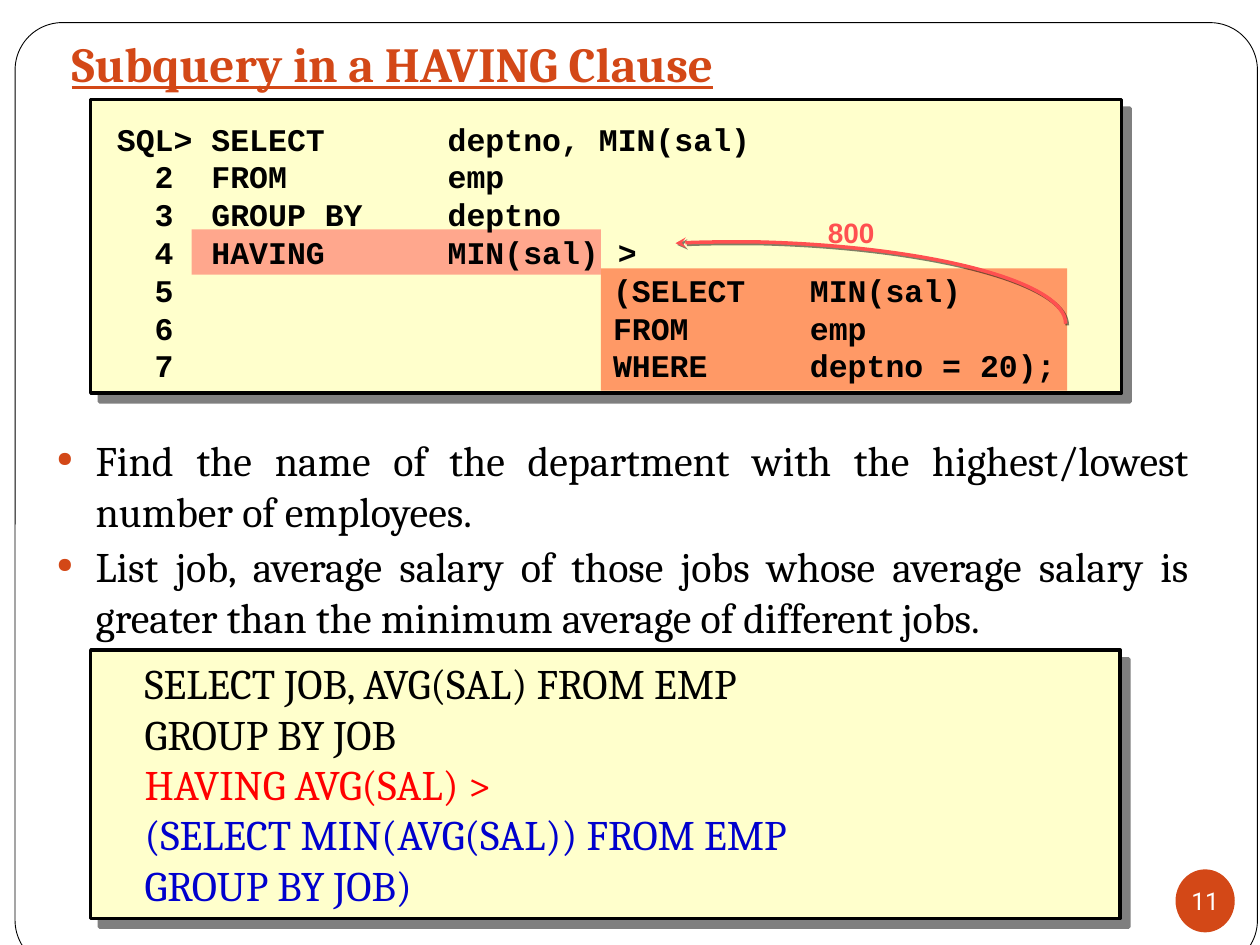
from dataclasses import dataclass
from typing import NamedTuple

from lxml.etree import SubElement
from pptx import Presentation
from pptx.dml.color import RGBColor as RGB
from pptx.enum.shapes import MSO_SHAPE as Preset
from pptx.enum.text import MSO_ANCHOR as Anchor, PP_ALIGN as Align
from pptx.oxml.ns import qn
from pptx.util import Pt


@dataclass(frozen=True)
class Theme:
    accent: str = "D34817"
    paper: str = "FFFFFF"
    ink: str = "000000"
    panel: str = "FFFFCC"
    coral: str = "FF5050"
    orange: str = "FF9966"
    red: str = "FF0000"
    blue: str = "0000CC"
    serif: str = "Cambria"
    mono: str = "Courier New"
    sans: str = "Arial"
    number_font: str = "Roboto"
    title_size: float = 28
    body_size: float = 24
    code_size: float = 18
    label_size: float = 16
    number_size: float = 14


class Box(NamedTuple):
    left: float
    top: float
    width: float
    height: float

    def points(self) -> list:
        return [Pt(length) for length in self]


@dataclass(frozen=True)
class Block:
    box: Box
    fill: str
    preset: int = Preset.RECTANGLE
    border: float = 0
    shadow: float = 0
    alpha: int = 100


@dataclass(frozen=True)
class Style:
    font: str
    size: float
    color: str
    bold: bool = False
    underline: bool = False


class Line(NamedTuple):
    text: str
    style: Style


THEME = Theme()
TITLE = Style(THEME.serif, THEME.title_size, THEME.accent, True, True)
BODY = Style(THEME.serif, THEME.body_size, THEME.ink)
OUTER = Style(THEME.serif, THEME.body_size, THEME.red)
INNER = Style(THEME.serif, THEME.body_size, THEME.blue)
CODE = Style(THEME.mono, THEME.code_size, THEME.ink, True)
LABEL = Style(THEME.sans, THEME.label_size, THEME.coral, True)
NUMBER = Style(THEME.number_font, THEME.number_size, THEME.paper)

FRAME = Block(Box(8.64, 12.96, 709.92, 540), THEME.paper, Preset.ROUNDED_RECTANGLE, 0.5)
PANELS = [
    Block(Box(51.84, 56.88, 588.96, 167.76), THEME.panel, border=2, shadow=7.1),
    Block(Box(51.84, 371.52, 588.24, 153.36), THEME.panel, border=2, shadow=7.1),
]
HIGHLIGHTS = [
    Block(Box(109.44, 131.04, 234, 25.92), THEME.coral, alpha=50),
    Block(Box(343.44, 153.36, 266.4, 69.84), THEME.orange),
]
BADGE = Block(Box(671.76, 496.8, 33.84, 36), THEME.accent, Preset.OVAL)

ARROW = [(386, 139), (400.3, 138.2), (415.4, 138.2), (430.6, 138.2),
         (529.2, 140.4), (609.1, 160.6), (609, 185)]
CODE_TABS = [189, 283.5, 396]
CODE_LINES = [
    "SQL> SELECT\tdeptno, MIN(sal)",
    "  2  FROM\temp",
    "  3  GROUP BY\tdeptno",
    "  4  HAVING\tMIN(sal) >",
    "  5\t\t(SELECT\tMIN(sal)",
    "  6\t\tFROM\temp",
    "  7\t\tWHERE\tdeptno = 20);",
]
TASKS = [
    "Find the name of the department with the highest/lowest number of employees.",
    "List job, average salary of those jobs whose average salary is "
    "greater than the minimum average of different jobs.",
]
ANSWER = [
    Line("SELECT JOB, AVG(SAL) FROM EMP", BODY),
    Line("GROUP BY JOB", BODY),
    Line("HAVING AVG(SAL) >", OUTER),
    Line("(SELECT MIN(AVG(SAL)) FROM EMP", INNER),
    Line("GROUP BY JOB)", INNER),
]


def add_shadow(shape, distance: float) -> None:
    effects = SubElement(shape._element.spPr, qn("a:effectLst"))
    outer = SubElement(effects, qn("a:outerShdw"), dist=str(Pt(distance)),
                       dir="2700000", algn="ctr", rotWithShape="0")
    color = SubElement(outer, qn("a:srgbClr"), val=THEME.ink)
    SubElement(color, qn("a:alpha"), val="50000")


def add_block(slide, block: Block):
    shape = slide.shapes.add_shape(block.preset, *block.box.points())
    shape.fill.solid()
    shape.fill.fore_color.rgb = RGB.from_string(block.fill)
    if block.alpha < 100:
        color = shape._element.spPr.find(qn("a:solidFill"))[0]
        SubElement(color, qn("a:alpha"), val=str(block.alpha * 1000))
    if block.border:
        shape.line.color.rgb = RGB.from_string(THEME.ink)
        shape.line.width = Pt(block.border)
    else:
        shape.line.fill.background()
    if block.shadow:
        add_shadow(shape, block.shadow)
    else:
        shape.shadow.inherit = False
    return shape


def write(paragraph, line: Line) -> None:
    paragraph.text = line.text
    for run in paragraph.runs:
        font = run.font
        font.name, font.size = line.style.font, Pt(line.style.size)
        font.bold, font.underline = line.style.bold, line.style.underline
        font.color.rgb = RGB.from_string(line.style.color)


def add_text(slide, box: Box, lines: list[Line], anchor=Anchor.MIDDLE, wrap: bool = True) -> list:
    frame = slide.shapes.add_textbox(*box.points()).text_frame
    frame.word_wrap, frame.vertical_anchor = wrap, anchor
    for _ in lines[1:]:
        frame.add_paragraph()
    for paragraph, line in zip(frame.paragraphs, lines):
        write(paragraph, line)
    return list(frame.paragraphs)


def add_tabs(paragraph, stops: list[float]) -> None:
    tabs = SubElement(paragraph._p.get_or_add_pPr(), qn("a:tabLst"))
    for stop in stops:
        SubElement(tabs, qn("a:tab"), pos=str(Pt(stop)), algn="l")


def add_bullet(paragraph, indent: float) -> None:
    props = paragraph._p.get_or_add_pPr()
    props.set("marL", str(Pt(indent)))
    props.set("indent", str(-Pt(indent)))
    SubElement(SubElement(props, qn("a:buClr")), qn("a:srgbClr"), val=THEME.accent)
    SubElement(props, qn("a:buSzPct"), val="50000")
    SubElement(props, qn("a:buChar"), char="●")


def add_curved_arrow(slide, controls: list[tuple[float, float]]) -> None:
    start, *rest = [(Pt(x), Pt(y)) for x, y in controls]
    builder = slide.shapes.build_freeform(*start)
    builder.add_line_segments(rest, close=False)
    arrow = builder.convert_to_shape()
    outline = next(arrow._element.iter(qn("a:path")))
    segments = outline.findall(qn("a:lnTo"))
    for first in range(0, len(segments), 3):
        curve = SubElement(outline, qn("a:cubicBezTo"))
        for segment in segments[first:first + 3]:
            curve.append(segment[0])
            outline.remove(segment)
    arrow.fill.background()
    arrow.line.color.rgb = RGB.from_string(THEME.coral)
    arrow.line.width = Pt(2)
    SubElement(arrow.line._get_or_add_ln(), qn("a:headEnd"), type="stealth")
    add_shadow(arrow, 1.4)


def main() -> None:
    deck = Presentation()
    deck.slide_width, deck.slide_height = Pt(720), Pt(540)
    slide = deck.slides.add_slide(deck.slide_layouts[6])

    add_block(slide, FRAME).adjustments[0] = 0.05
    add_text(slide, Box(33.84, 15.12, 651.6, 41.76), [Line("Subquery in a HAVING Clause", TITLE)])
    tasks = add_text(slide, Box(25.2, 245, 660.96, 116.5), [Line(task, BODY) for task in TASKS], Anchor.TOP)
    for position, task in enumerate(tasks):
        task.alignment = Align.JUSTIFY
        if position:
            task.space_before = Pt(3)
        add_bullet(task, 22.32)

    badge = add_block(slide, BADGE).text_frame
    badge.margin_left = badge.margin_right = badge.margin_top = badge.margin_bottom = 0
    badge.word_wrap, badge.vertical_anchor = False, Anchor.MIDDLE
    write(badge.paragraphs[0], Line("11", NUMBER))
    badge.paragraphs[0].alignment = Align.CENTER

    for block in PANELS + HIGHLIGHTS:
        add_block(slide, block)
    add_curved_arrow(slide, ARROW)
    [result] = add_text(slide, Box(465.84, 115.92, 41.04, 30.24), [Line("800", LABEL)], Anchor.TOP, False)
    result.alignment, result.line_spacing = Align.CENTER, 1.2
    for statement in add_text(slide, Box(59.76, 59.04, 564.48, 169.92), [Line(text, CODE) for text in CODE_LINES]):
        statement.line_spacing = Pt(21.6)
        add_tabs(statement, CODE_TABS)
    add_text(slide, Box(75.6, 411.84, 575.28, 72), ANSWER)
    deck.save("out.pptx")


if __name__ == "__main__":
    main()
